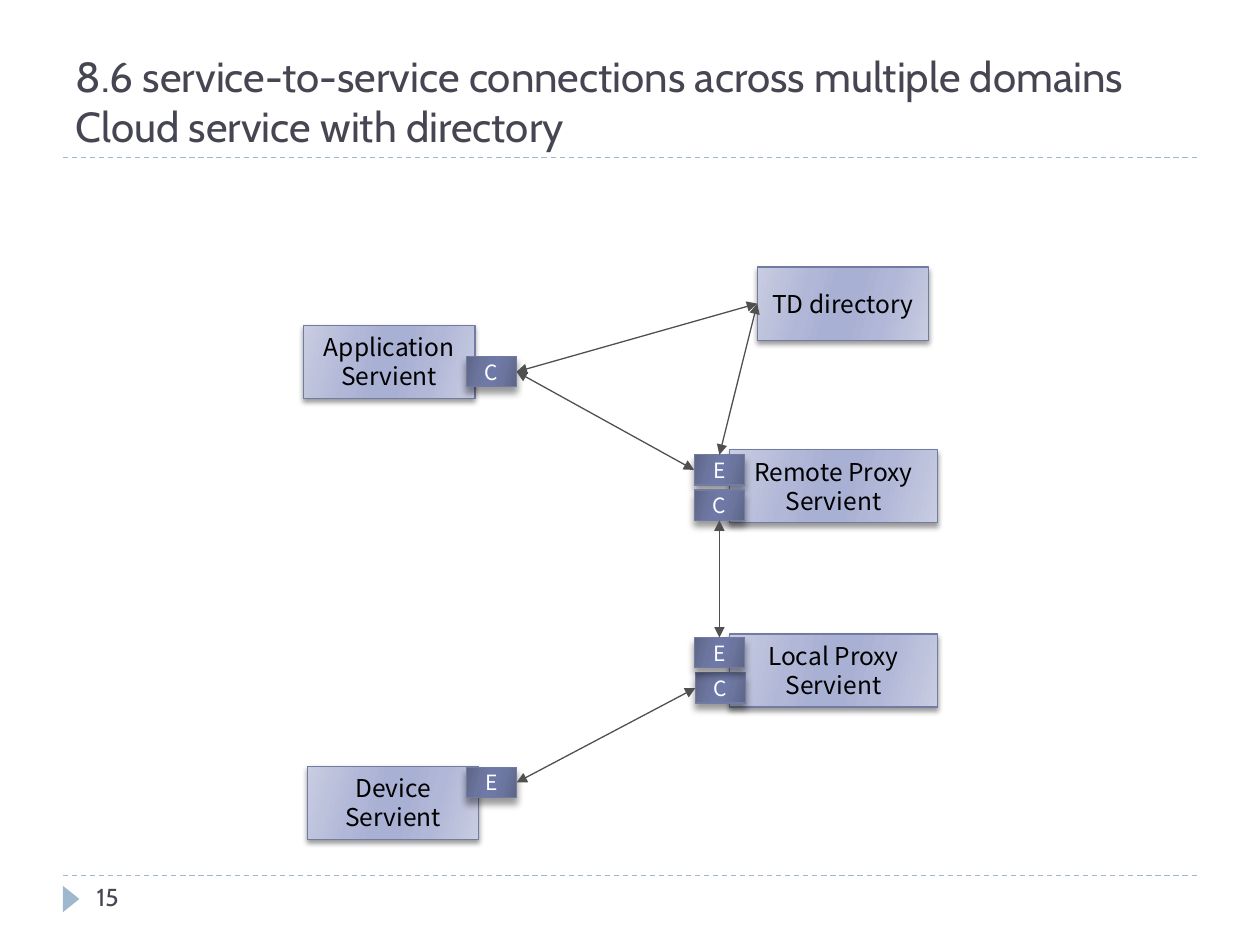
from lxml.etree import SubElement
from pptx import Presentation
from pptx.dml.color import RGBColor
from pptx.enum.dml import MSO_LINE
from pptx.enum.shapes import MSO_CONNECTOR as Connector, MSO_SHAPE as Shape
from pptx.enum.text import MSO_ANCHOR as Anchor, MSO_AUTO_SIZE as AutoSize, PP_ALIGN as Align
from pptx.oxml.ns import qn
from pptx.util import Pt

HEADING_FONT = "Cabin"
DIAGRAM_FONT = "Noto Sans CJK JP"
INK, ACCENT, BORDER, ARROW = "464653", "9FB8CD", "727CA3", "505050"
SERVIENT_TINTS = ("C9CDE2", "B1B7D7", "A8B0D3")
PORT_TINTS = ("5D6585", "6B759E", "6E79A7")
TOP, LEFT, BOTTOM, RIGHT = range(4)


def color(hex_value):
    """Turn a hex string into a colour."""
    return RGBColor.from_string(hex_value)


def add_run(paragraph, text, size, font_name, hex_value):
    """Append one formatted run."""
    run = paragraph.add_run()
    run.text = text
    run.font.size = Pt(size)
    run.font.name = font_name
    run.font.color.rgb = color(hex_value)


def fill_gradient(box, tints):
    """Fill a box with a gradient mirrored around its middle."""
    box.fill.gradient()
    box.fill.gradient_angle = 344
    stops = box._element.spPr.find(qn("a:gradFill")).find(qn("a:gsLst"))
    for stop in list(stops):
        stops.remove(stop)
    for position, tint in zip((0, 30, 45, 55, 73, 100), tints + tints[::-1]):
        stop = SubElement(stops, qn("a:gs"), pos=str(position * 1000))
        SubElement(stop, qn("a:srgbClr"), val=tint)


def add_shadow(box, blur, distance):
    """Drop a soft black shadow straight down."""
    box.shadow.inherit = False
    effects = box._element.spPr.find(qn("a:effectLst"))
    shadow = SubElement(effects, qn("a:outerShdw"), blurRad=str(Pt(blur)),
                        dist=str(Pt(distance)), dir="5400000", rotWithShape="0")
    black = SubElement(shadow, qn("a:srgbClr"), val="000000")
    SubElement(black, qn("a:alpha"), val="40000")


def add_box(slide, label, bounds, tints, size, text_color):
    """Add a shaded rectangle with a centred label."""
    box = slide.shapes.add_shape(Shape.RECTANGLE, *map(Pt, bounds))
    fill_gradient(box, tints)
    box.line.color.rgb = color(BORDER)
    box.line.width = Pt(0.75)
    frame = box.text_frame
    frame.vertical_anchor = Anchor.MIDDLE
    paragraph = frame.paragraphs[0]
    paragraph.alignment = Align.CENTER
    add_run(paragraph, label, size, DIAGRAM_FONT, text_color)
    return box


def add_servient(slide, label, left, top, width=97.9, side_margin=7.2):
    """Add a large box for a servient or directory."""
    servient = add_box(slide, label, (left, top, width, 41.8), SERVIENT_TINTS, 14, "000000")
    add_shadow(servient, 3, 2)
    frame = servient.text_frame
    frame.word_wrap = True
    frame.margin_left = frame.margin_right = Pt(side_margin)
    frame.paragraphs[0].line_spacing = Pt(16.6)
    return servient


def add_port(slide, label, left, top):
    """Add a small box for a client or exposed interface."""
    port = add_box(slide, label, (left, top, 28.8, 17.3), PORT_TINTS, 12, "FFFFFF")
    add_shadow(port, 4, 3.4)
    port.text_frame.word_wrap = False
    return port


def add_line(slide, start, end, hex_value):
    """Add a thin straight line without shadow."""
    line = slide.shapes.add_connector(Connector.STRAIGHT, *map(Pt, start + end))
    line.line.color.rgb = color(hex_value)
    line.line.width = Pt(0.75)
    SubElement(line._element.spPr, qn("a:effectLst"))
    return line


def link(slide, source, source_side, target, target_side):
    """Join two boxes with a double-headed arrow."""
    arrow = add_line(slide, (0, 0), (0, 0), ARROW)
    arrow.begin_connect(source, source_side)
    arrow.end_connect(target, target_side)
    outline = arrow.line._get_or_add_ln()
    for end in ("a:headEnd", "a:tailEnd"):
        SubElement(outline, qn(end), type="triangle")


def add_title(slide, lines):
    """Place and format the title over several lines."""
    title = slide.shapes.title
    title.left, title.top, title.width, title.height = map(Pt, (36, 18, 648, 90 - 18 + 0))
    frame = title.text_frame
    frame.auto_size = AutoSize.NONE
    frame.word_wrap = True
    frame.vertical_anchor = Anchor.BOTTOM
    paragraph = frame.paragraphs[0]
    paragraph.alignment = Align.LEFT
    for index, text in enumerate(lines):
        if index:
            paragraph.add_line_break()
        add_run(paragraph, text, 24, HEADING_FONT, INK)


def add_page_frame(slide, number):
    """Add the dashed rules, the marker and the page number."""
    for height in (90, 500.4):
        rule = add_line(slide, (36, height), (684, height), ACCENT)
        rule.line.dash_style = MSO_LINE.DASH
    marker = slide.shapes.add_shape(Shape.ISOSCELES_TRIANGLE, *map(Pt, (33.1, 509, 15.1, 9.4)))
    marker.rotation = 90
    marker.shadow.inherit = False
    marker.fill.solid()
    marker.fill.fore_color.rgb = color(ACCENT)
    marker.line.fill.background()
    page = slide.shapes.add_textbox(*map(Pt, (48.2, 500.4, 156.2, 28.8)))
    page.text_frame.word_wrap = True
    add_run(page.text_frame.paragraphs[0], number, 14, HEADING_FONT, INK)


def add_diagram(slide):
    """Draw the servients, their ports and the links between them."""
    add_servient(slide, "Remote Proxy Servient", 416.9, 257, 118.8, 2.9)
    add_servient(slide, "Local Proxy Servient", 416.9, 362.2, 118.8, 2.9)
    add_servient(slide, "Device Servient", 175.7, 437.8)
    add_servient(slide, "Application Servient", 173.5, 185.8)
    directory = add_servient(slide, "TD directory", 432.7, 152.6)

    local_client = add_port(slide, "C", 397.4, 384.5)
    device_exposed = add_port(slide, "E", 266.4, 438.5)
    application_client = add_port(slide, "C", 266.4, 203.8)
    remote_exposed = add_port(slide, "E", 396.7, 259.9)
    local_exposed = add_port(slide, "E", 396.7, 364.3)
    remote_client = add_port(slide, "C", 396.7, 280.1)

    link(slide, application_client, RIGHT, remote_exposed, LEFT)
    link(slide, device_exposed, RIGHT, local_client, LEFT)
    link(slide, remote_client, BOTTOM, local_exposed, TOP)
    link(slide, application_client, RIGHT, directory, LEFT)
    link(slide, remote_exposed, TOP, directory, LEFT)


def main():
    """Build the slide and save it."""
    deck = Presentation()
    deck.slide_width, deck.slide_height = Pt(720), Pt(540)
    slide = deck.slides.add_slide(deck.slide_layouts[5])
    add_page_frame(slide, "15")
    add_title(slide, ("8.6 service-to-service connections across multiple domains",
                      "Cloud service with directory"))
    add_diagram(slide)
    deck.save("out.pptx")


if __name__ == "__main__":
    main()
